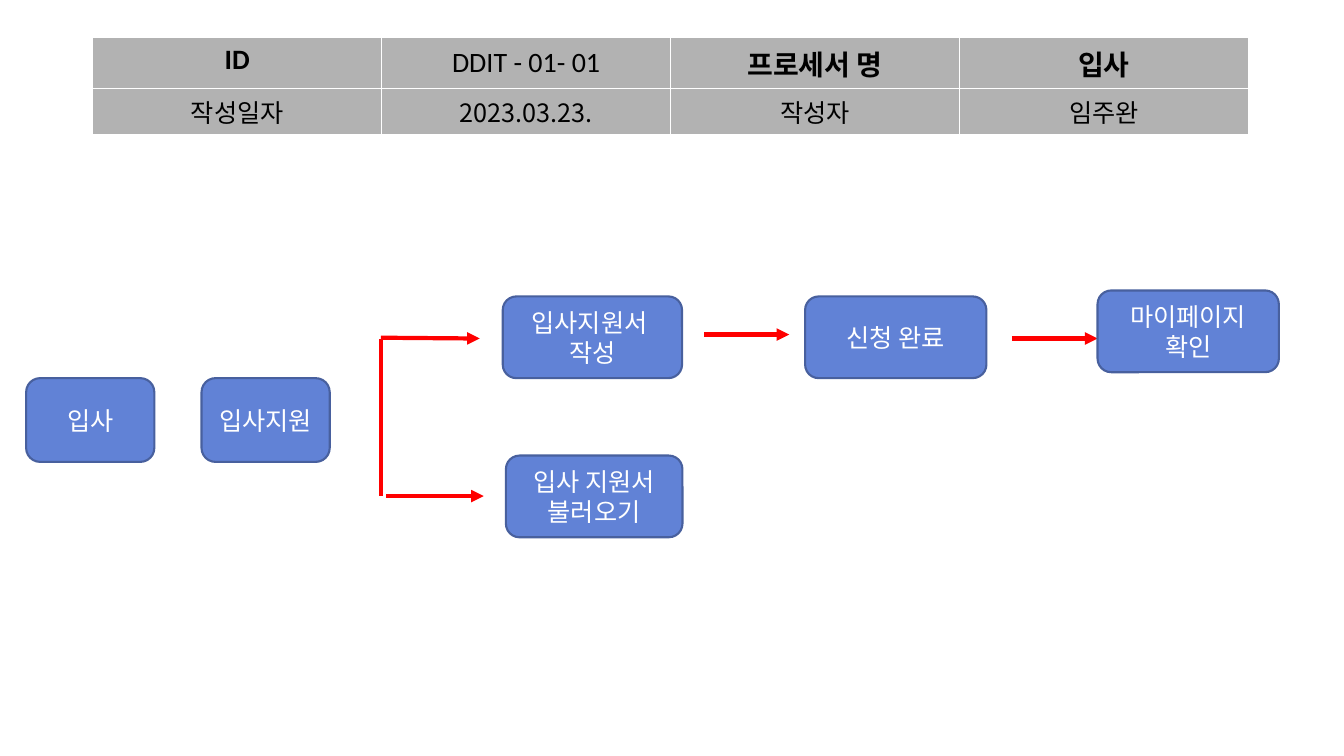
"""Build the process slide for a job application: a header table and a flow of steps."""
import dataclasses
import typing

import lxml.etree
import pptx
import pptx.dml.color
import pptx.enum.shapes
import pptx.enum.text
import pptx.oxml.ns
import pptx.shapes.shapetree
import pptx.table
import pptx.text.text
import pptx.util

Cm = pptx.util.Cm
Pt = pptx.util.Pt
qn = pptx.oxml.ns.qn
Shapes = pptx.shapes.shapetree.SlideShapes
Middle = pptx.enum.text.MSO_ANCHOR.MIDDLE

KOREAN_FONT = "Noto Sans CJK KR"
STEP_FILL, STEP_LINE, ARROW_RED = "6182D6", "48609E", "FF0000"
GREY, BLACK, WHITE = "B2B2B2", "000000", "FFFFFF"


@dataclasses.dataclass(frozen=True)
class Step:
    lines: tuple[str, ...]
    left: float
    top: float
    width: float
    height: float = 2.06


@dataclasses.dataclass(frozen=True)
class Link:
    start: tuple[float, float]
    end: tuple[float, float]
    arrow: bool = True


@dataclasses.dataclass(frozen=True)
class HeaderCell:
    text: str
    font: str = KOREAN_FONT
    size: int = 18
    bold: bool = False
    centred: bool = False


STEPS = (
    Step(("입사",), 0.66, 9.53, 3.23, 2.11),
    Step(("입사지원",), 5.08, 9.53, 3.23, 2.11),
    Step(("입사지원서 ", "작성"), 12.67, 7.47, 4.52),
    Step(("입사 지원서 불러오기",), 12.75, 11.48, 4.45),
    Step(("신청 완료",), 20.29, 7.47, 4.57),
    Step(("마이페이지 확인",), 27.66, 7.32, 4.57),
)

LINKS = (
    Link((9.6, 8.53), (9.6, 12.5), arrow=False),
    Link((9.6, 8.51), (12.09, 8.53)),
    Link((9.73, 12.5), (12.19, 12.5)),
    Link((17.75, 8.43), (19.89, 8.43)),
    Link((25.5, 8.53), (27.66, 8.53)),
)

HEADER = (
    (
        HeaderCell("ID", "Calibri", 20, bold=True),
        HeaderCell("DDIT - 01- 01", "Calibri", 20, centred=True),
        HeaderCell("프로세서 명", "Calibri", 20, bold=True),
        HeaderCell("입사", "Calibri", 20, bold=True),
    ),
    tuple(HeaderCell(text) for text in ("작성일자", "2023.03.23.", "작성자", "임주완")),
)


def colour(value: str) -> pptx.dml.color.RGBColor:
    return pptx.dml.color.RGBColor.from_string(value)


def set_attributes(target: typing.Any, values: dict[str, typing.Any]) -> None:
    for name, value in values.items():
        setattr(target, name, value)


def write_text(frame: pptx.text.text.TextFrame, lines: tuple[str, ...], ink: str,
               font: dict[str, typing.Any]) -> None:
    for index, line in enumerate(lines):
        para = frame.add_paragraph() if index else frame.paragraphs[0]
        para.alignment = pptx.enum.text.PP_ALIGN.CENTER
        span = para.add_run()
        span.text = line
        set_attributes(span.font, font)
        span.font.color.rgb = colour(ink)
        properties = span._r.get_or_add_rPr()
        lxml.etree.SubElement(properties, qn("a:ea"), typeface=KOREAN_FONT)


def draw_step(shapes: Shapes, step: Step) -> None:
    box = shapes.add_shape(
        pptx.enum.shapes.MSO_SHAPE.ROUNDED_RECTANGLE,
        Cm(step.left), Cm(step.top), Cm(step.width), Cm(step.height),
    )
    box.shadow.inherit = False
    box.fill.solid()
    box.fill.fore_color.rgb = colour(STEP_FILL)
    box.line.color.rgb = colour(STEP_LINE)
    box.line.width = Pt(1.5)
    set_attributes(box.text_frame, {"word_wrap": True, "vertical_anchor": Middle})
    write_text(box.text_frame, step.lines, WHITE, {"name": KOREAN_FONT, "size": Pt(18)})


def draw_link(shapes: Shapes, link: Link) -> None:
    connector = shapes.add_connector(
        pptx.enum.shapes.MSO_CONNECTOR.STRAIGHT,
        *(Cm(length) for length in link.start + link.end),
    )
    connector.line.color.rgb = colour(ARROW_RED)
    connector.line.width = Pt(3)
    if link.arrow:
        line = connector.line._get_or_add_ln()
        lxml.etree.SubElement(line, qn("a:tailEnd"), type="triangle")
    lxml.etree.SubElement(connector._element.spPr, qn("a:effectLst"))


def draw_header_cell(cell: pptx.table._Cell, content: HeaderCell) -> None:
    properties = cell._tc.get_or_add_tcPr()
    for side in ("lnL", "lnR", "lnT", "lnB"):
        border = lxml.etree.SubElement(properties, qn(f"a:{side}"), w=str(Pt(1)))
        fill = lxml.etree.SubElement(border, qn("a:solidFill"))
        lxml.etree.SubElement(fill, qn("a:srgbClr"), val=WHITE)
    cell.fill.solid()
    cell.fill.fore_color.rgb = colour(GREY)
    if content.centred:
        margins = ("margin_left", "margin_top", "margin_right", "margin_bottom")
        set_attributes(cell, {"vertical_anchor": Middle} | dict.fromkeys(margins, 0))
    write_text(cell.text_frame, (content.text,), BLACK,
               {"name": content.font, "size": Pt(content.size), "bold": content.bold})


def draw_header(shapes: Shapes) -> None:
    table = shapes.add_table(2, 4, Cm(2.34), Cm(0.95), Cm(29.12), Cm(2.13)).table
    set_attributes(table, {"first_row": False, "horz_banding": False})
    for column in table.columns:
        column.width = Cm(7.28)
    for row, height, contents in zip(table.rows, (1.09, 1.04), HEADER):
        row.height = Cm(height)
        for cell, content in zip(row.cells, contents):
            draw_header_cell(cell, content)


def main() -> None:
    deck = pptx.Presentation()
    set_attributes(deck, {"slide_width": Cm(33.87), "slide_height": Cm(19.05)})
    page = deck.slides.add_slide(deck.slide_layouts[6])
    draw_header(page.shapes)
    for link in LINKS:
        draw_link(page.shapes, link)
    for step in STEPS:
        draw_step(page.shapes, step)
    deck.save("out.pptx")


if __name__ == "__main__":
    main()
